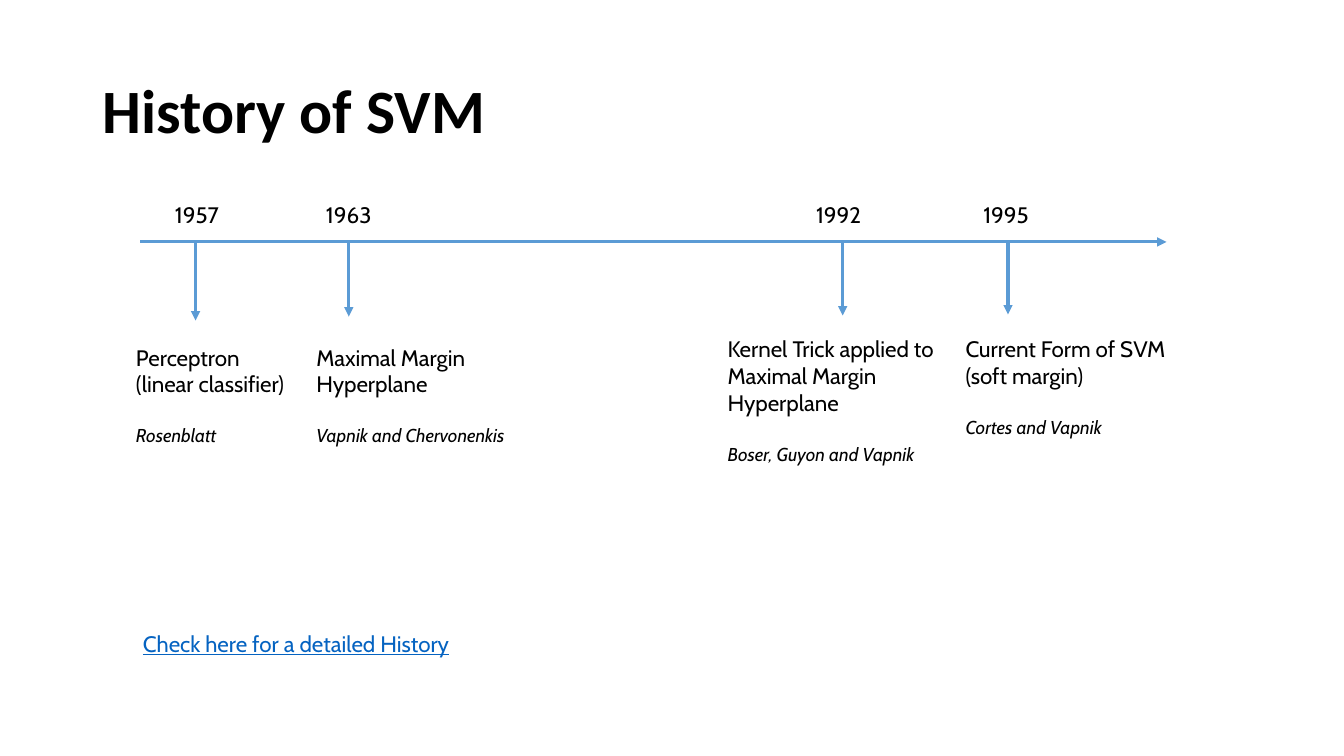
from collections import namedtuple

from lxml.etree import SubElement
from pptx import Presentation
from pptx.dml.color import RGBColor
from pptx.enum.shapes import MSO_CONNECTOR
from pptx.enum.text import MSO_ANCHOR, MSO_AUTO_SIZE, PP_ALIGN
from pptx.oxml.ns import qn
from pptx.util import Inches, Pt

Event = namedtuple("Event", "year year_x arrow_x arrow_end left top width height lines authors")


def colour(value):
    return RGBColor.from_string(value)


def write(para, text, font="Cabin", size=16, ink="000000", bold=False, italic=False,
          underline=False, align=PP_ALIGN.LEFT, before=0):
    """Add one formatted span of text to a paragraph."""
    para.alignment = align
    para.space_before = Pt(before)
    span = para.add_run()
    span.text = text
    span.font.name = font
    span.font.size = Pt(size)
    span.font.color.rgb = colour(ink)
    span.font.bold = bold
    span.font.italic = italic
    span.font.underline = underline


class Timeline:
    """Places elements by percent of the slide's width and height."""
    line_colour = "5B9BD5"
    link_colour = "0563C1"
    line_width = 2.25
    label_height = 4.93

    def __init__(self, deck):
        self.deck = deck
        self.page = deck.slides.add_slide(deck.slide_layouts[5])

    def x(self, share):
        return round(self.deck.slide_width * share / 100)

    def y(self, share):
        return round(self.deck.slide_height * share / 100)

    def area(self, left, top, width, height):
        return self.x(left), self.y(top), self.x(width), self.y(height)

    def title(self, text, *area):
        box = self.page.shapes.title
        box.left, box.top, box.width, box.height = self.area(*area)
        frame = box.text_frame
        frame.auto_size = MSO_AUTO_SIZE.NONE
        frame.vertical_anchor = MSO_ANCHOR.MIDDLE
        para = frame.paragraphs[0]
        para.line_spacing = 0.9
        write(para, text, font="Calibri", size=44, bold=True)

    def text(self, area, *spans):
        """Each span is a (text, format) pair with its own paragraph."""
        frame = self.page.shapes.add_textbox(*self.area(*area)).text_frame
        frame.word_wrap = True
        for index, (text, style) in enumerate(spans):
            para = frame.add_paragraph() if index else frame.paragraphs[0]
            write(para, text, **style)

    def arrow(self, x1, y1, x2, y2):
        line = self.page.shapes.add_connector(
            MSO_CONNECTOR.STRAIGHT, self.x(x1), self.y(y1), self.x(x2), self.y(y2))
        line.line.color.rgb = colour(self.line_colour)
        line.line.width = Pt(self.line_width)
        SubElement(line.line._get_or_add_ln(), qn("a:tailEnd"), type="triangle")
        SubElement(line._element.spPr, qn("a:effectLst"))

    def event(self, event, axis_y):
        year_width = 9
        self.text((event.year_x - year_width / 2, 25.9, year_width, self.label_height),
                  (event.year, {"align": PP_ALIGN.CENTER}))
        self.arrow(event.arrow_x, axis_y, event.arrow_x, event.arrow_end)
        self.text((event.left, event.top, event.width, event.height),
                  *[(line, {}) for line in event.lines],
                  (event.authors, {"size": 13.3, "italic": True, "before": 19.2}))


EVENTS = [
    Event("1957", 14.65, 14.55, 42.4, 9.38, 44.8, 15, 15.07,
          ["Perceptron", "(linear classifier)"], "Rosenblatt"),
    Event("1963", 25.95, 25.95, 41.87, 22.8, 44.8, 18.15, 15.07,
          ["Maximal Margin Hyperplane"], "Vapnik and Chervonenkis"),
    Event("1992", 62.4, 62.7, 41.73, 53.4, 43.73, 18.15, 18.67,
          ["Kernel Trick applied to Maximal Margin Hyperplane"], "Boser, Guyon and Vapnik"),
    Event("1995", 74.85, 75, 41.6, 71.1, 43.73, 18.15, 15.07,
          ["Current Form of SVM (soft margin)"], "Cortes and Vapnik"),
]


def main():
    deck = Presentation()
    deck.slide_width, deck.slide_height = Inches(13.33), Inches(7.5)
    timeline = Timeline(deck)

    # Title
    timeline.title("History of SVM", 6.9, 5.33, 86.25, 19.33)

    # Time axis with its events
    axis_y = 32
    timeline.arrow(10.43, axis_y, 86.8, axis_y)
    for event in EVENTS:
        timeline.event(event, axis_y)

    # Pointer to further reading
    timeline.text((9.9, 82.67, 29.7, timeline.label_height),
                  ("Check here for a detailed History",
                   {"ink": timeline.link_colour, "underline": True}))

    deck.save("out.pptx")


if __name__ == "__main__":
    main()
